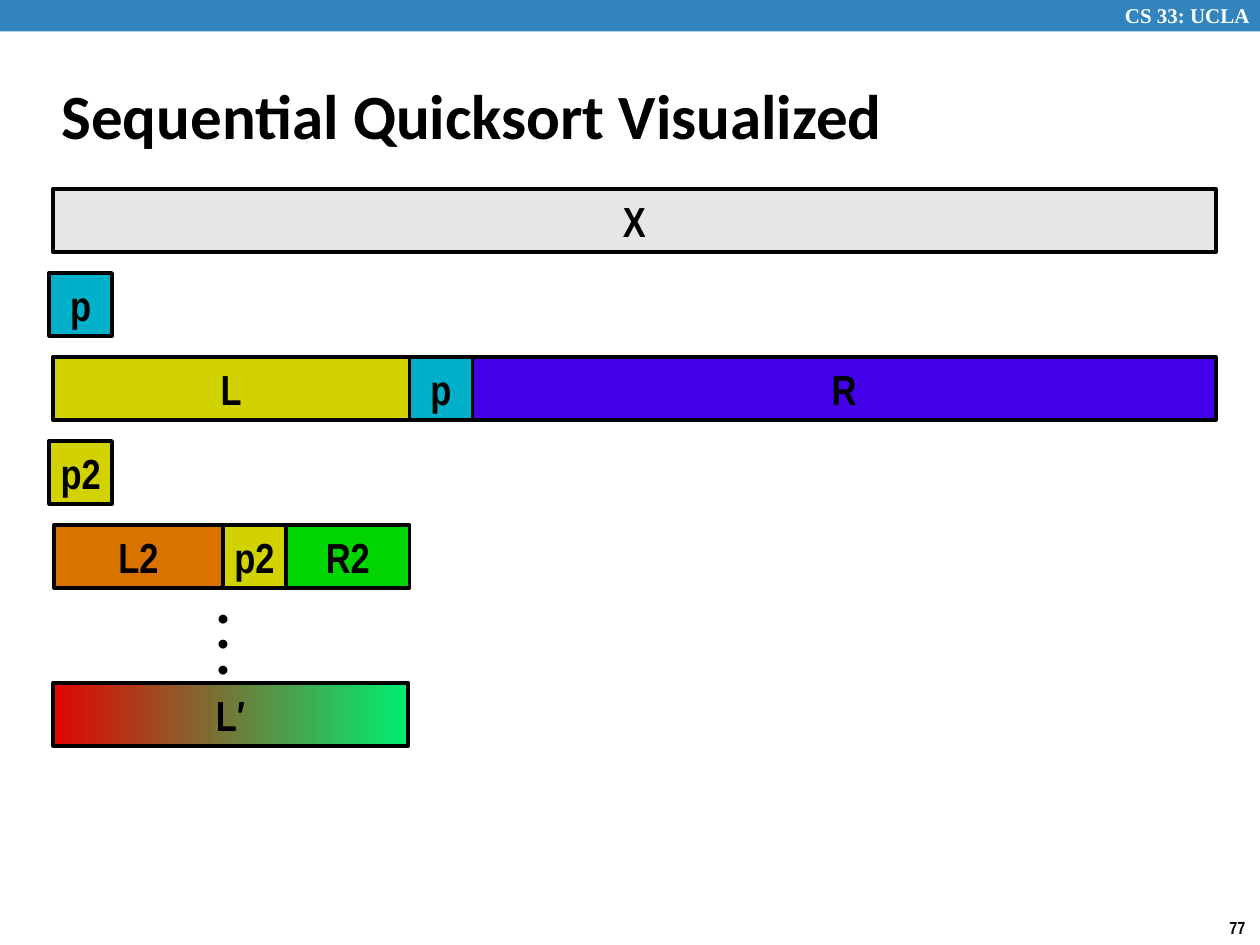
import pptx
import pptx.util
import pptx.dml.color
import pptx.enum.shapes
import pptx.enum.text

Inches, Pt = pptx.util.Inches, pptx.util.Pt
Align = pptx.enum.text.PP_ALIGN
Anchor = pptx.enum.text.MSO_ANCHOR

# Content: each row is (left, cells); a cell is (label, width, fill)
TITLE = "Sequential Quicksort Visualized"
COURSE = "CS 33: UCLA"
PAGE = "77"
CYAN, LIME = "00B0C8", "D2D200"
ROWS = [
    (0.42, [("X", 9.23, "E6E6E6")]),
    (0.39, [("p", 0.5, CYAN)]),
    (0.42, [("L", 2.83, LIME), ("p", 0.5, CYAN), ("R", 5.9, "4300EA")]),
    (0.39, [("p2", 0.5, LIME)]),
    (0.43, [("L2", 1.34, "DA7200"), ("p2", 0.5, LIME), ("R2", 0.98, "01D501")]),
]
SORTED = ("L′", 2.82, ("E10601", "00EE71"))
TOP, PITCH, HIGH = 1.5, 2 / 3, 0.5


def color(code):
    return pptx.dml.color.RGBColor.from_string(code)


def style(par, size, face, ink="000000"):
    font = par.font
    font.size, font.name, font.bold = Pt(size), face, True
    font.color.rgb = color(ink)


def rect(slide, x, y, w, h):
    kind = pptx.enum.shapes.MSO_SHAPE.RECTANGLE
    shape = slide.shapes.add_shape(kind, Inches(x), Inches(y), Inches(w), Inches(h))
    shape.shadow.inherit = False
    return shape


def cell(slide, x, y, label, width, fill):
    box = rect(slide, x, y, width, HIGH)
    if isinstance(fill, tuple):
        box.fill.gradient()
        box.fill.gradient_angle = 0
        for stop, code, spot in zip(box.fill.gradient_stops, fill, (0, 1)):
            stop.color.rgb = color(code)
            stop.position = spot
    else:
        box.fill.solid()
        box.fill.fore_color.rgb = color(fill)
    box.line.color.rgb = color("000000")
    box.line.width = Pt(2)
    frame = box.text_frame
    frame.word_wrap = False
    frame.vertical_anchor = Anchor.MIDDLE
    par = frame.paragraphs[0]
    par.text, par.alignment = label, Align.CENTER
    style(par, 24, "Arial Narrow")


def text(slide, x, y, w, h, lines, size, face, ink="000000", wrap=False, anchor=Anchor.TOP):
    box = slide.shapes.add_textbox(Inches(x), Inches(y), Inches(w), Inches(h))
    frame = box.text_frame
    frame.word_wrap, frame.vertical_anchor = wrap, anchor
    frame.text = "\n".join(lines)
    for par in frame.paragraphs:
        par.alignment = Align.LEFT
        style(par, size, face, ink)


def main():
    deck = pptx.Presentation()
    deck.slide_width, deck.slide_height = Inches(10), Inches(7.5)
    slide = deck.slides.add_slide(deck.slide_layouts[6])

    # Header band, page number and title
    band = rect(slide, 0, 0, 10, 0.25)
    band.fill.solid()
    band.fill.fore_color.rgb = color("3284BF")
    band.line.fill.background()
    text(slide, 8.83, -0.03, 1.24, 0.3, [COURSE], 12, "Times New Roman", "FFFFFF", wrap=True)
    text(slide, 9.66, 7.23, 0.34, 0.27, [PAGE], 10, "Arial Narrow")
    text(slide, 0.39, 0.49, 8.3, 0.83, [TITLE], 36, "Calibri", wrap=True, anchor=Anchor.MIDDLE)

    # Array states, cells laid side by side
    for step, (x, cells) in enumerate(ROWS):
        for label, width, fill in cells:
            cell(slide, x, TOP + step * PITCH, label, width, fill)
            x += width

    # Skipped steps and the sorted left part
    text(slide, 1.63, 4.75, 0.28, 0.71, ["•"] * 3, 12, "Calibri")
    cell(slide, 0.42, 5.42, *SORTED)

    deck.save("out.pptx")


if __name__ == "__main__":
    main()
